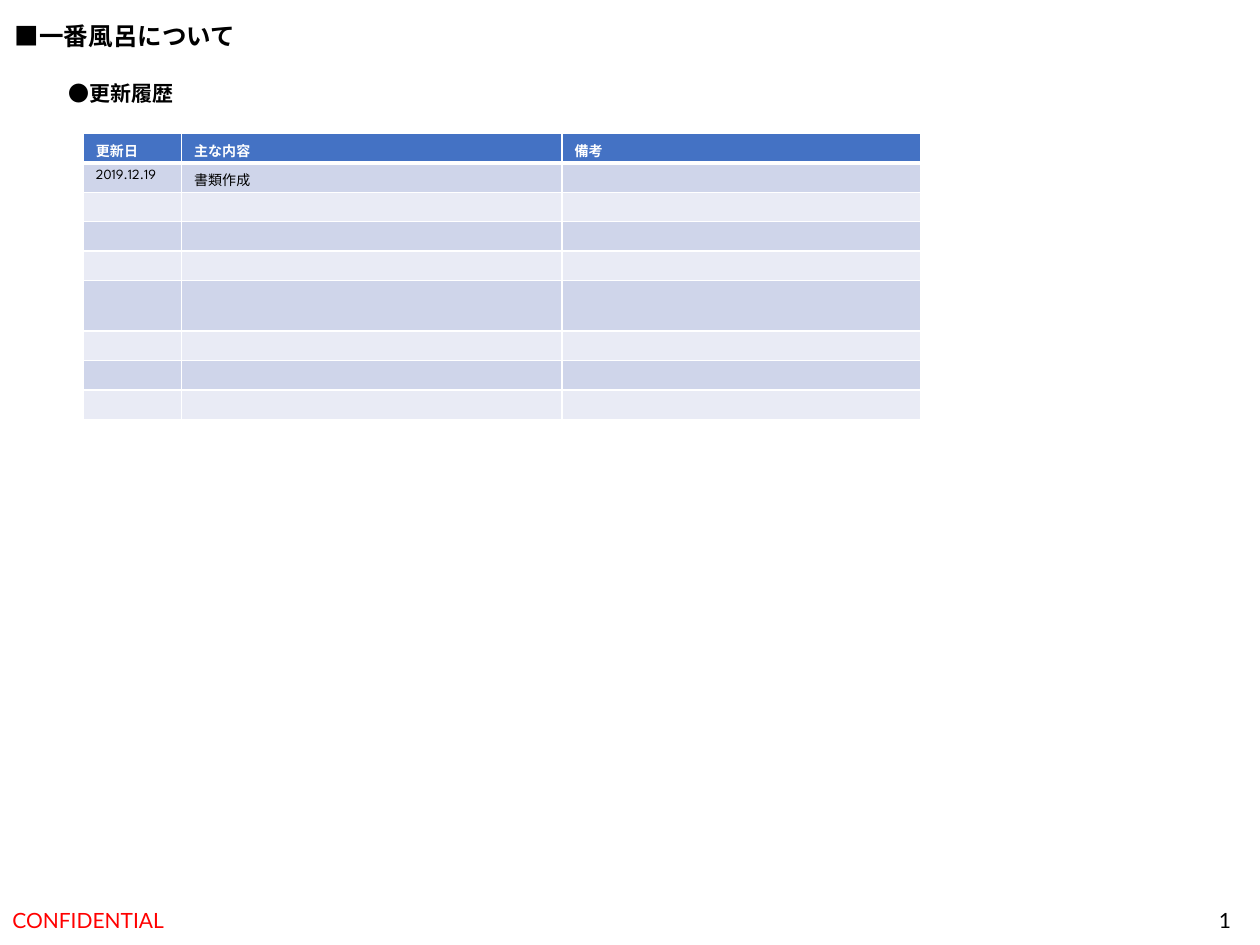
from lxml.etree import SubElement
from pptx import Presentation
from pptx.dml.color import RGBColor
from pptx.enum.text import MSO_ANCHOR as Anchor, MSO_AUTO_SIZE as AutoSize, PP_ALIGN as Align
from pptx.oxml.ns import qn
from pptx.util import Cm, Pt

SLIDE_WIDTH, SLIDE_HEIGHT = 25.4, 19.05
COLUMN_WIDTHS = [1.98, 7.67, 7.24]
ROW_HEIGHTS = [0.59] * 5 + [1.02] + [0.59] * 3
HISTORY = [["更新日", "主な内容", "備考"], ["2019.12.19", "書類作成"]]
HEADER_FILL, BAND_FILLS = "4472C4", ["E9EBF5", "CFD5EA"]


def color(value):
    return RGBColor.from_string(value)


def write(frame, text, size=12, font="Lato", fill="000000", bold=False, align=Align.LEFT):
    paragraph = frame.paragraphs[0]
    paragraph.alignment = align
    run = paragraph.add_run()
    run.text = text
    run.font.size = Pt(size)
    run.font.name = font
    run.font.bold = bold
    run.font.color.rgb = color(fill)


def add_text(slide, box, text, wrap=True, anchor=Anchor.TOP, **text_format):
    shape = slide.shapes.add_textbox(*map(Cm, box))
    frame = shape.text_frame
    frame.word_wrap = wrap
    frame.auto_size = AutoSize.NONE if wrap else AutoSize.SHAPE_TO_FIT_TEXT
    frame.vertical_anchor = anchor
    write(frame, text, **text_format)


def add_headings(slide, left, top):
    add_text(slide, (left, top, 5, 0.86), "■一番風呂について",
             wrap=False, size=14, font="Arial", bold=True)
    add_text(slide, (left + 1.09, top + 1.2, 2.64, 0.76), "●更新履歴",
             wrap=False, font="League Spartan", bold=True)


def set_borders(cell, **widths):
    properties = cell._tc.get_or_add_tcPr()
    for side in "LRTB":
        line = SubElement(properties, qn(f"a:ln{side}"), w=str(Pt(widths.get(side, 1))))
        fill = SubElement(line, qn("a:solidFill"))
        SubElement(fill, qn("a:srgbClr"), val="FFFFFF")


def format_cell(cell, row, text):
    header = row == 0
    set_borders(cell, T=3 if row == 1 else 1, B=3 if header else 1)
    cell.fill.solid()
    cell.fill.fore_color.rgb = color(HEADER_FILL if header else BAND_FILLS[row % 2])
    if text:
        write(cell.text_frame, text, size=8, font="League Spartan",
              fill="FFFFFF" if header else "000000", bold=header)
    else:
        SubElement(cell.text_frame.paragraphs[0]._p, qn("a:endParaRPr"), sz="800")


def add_history(slide, left, top):
    frame = slide.shapes.add_table(
        len(ROW_HEIGHTS), len(COLUMN_WIDTHS), Cm(left), Cm(top),
        Cm(sum(COLUMN_WIDTHS)), Cm(sum(ROW_HEIGHTS)))
    table = frame.table
    for column, width in zip(table.columns, COLUMN_WIDTHS):
        column.width = Cm(width)
    for row, height in enumerate(ROW_HEIGHTS):
        table.rows[row].height = Cm(height)
        texts = HISTORY[row] if row < len(HISTORY) else []
        for column in range(len(COLUMN_WIDTHS)):
            text = texts[column] if column < len(texts) else ""
            format_cell(table.cell(row, column), row, text)


def add_footer(slide, left, top, width, height):
    number_width, right_gap = 5.72, 0.33
    add_text(slide, (left, top, 8.59, height), "CONFIDENTIAL",
             anchor=Anchor.MIDDLE, fill="FF0000")
    add_text(slide, (left + width - right_gap - number_width, top, number_width, height),
             "1", anchor=Anchor.MIDDLE, align=Align.RIGHT)


def main():
    presentation = Presentation()
    presentation.slide_width = Cm(SLIDE_WIDTH)
    presentation.slide_height = Cm(SLIDE_HEIGHT)
    slide = presentation.slides.add_slide(presentation.slide_layouts[6])
    add_headings(slide, 0.05, 0.3)
    add_footer(slide, 0, 18.03, SLIDE_WIDTH, 1.02)
    add_history(slide, 1.68, 2.69)
    presentation.save("out.pptx")


if __name__ == "__main__":
    main()
